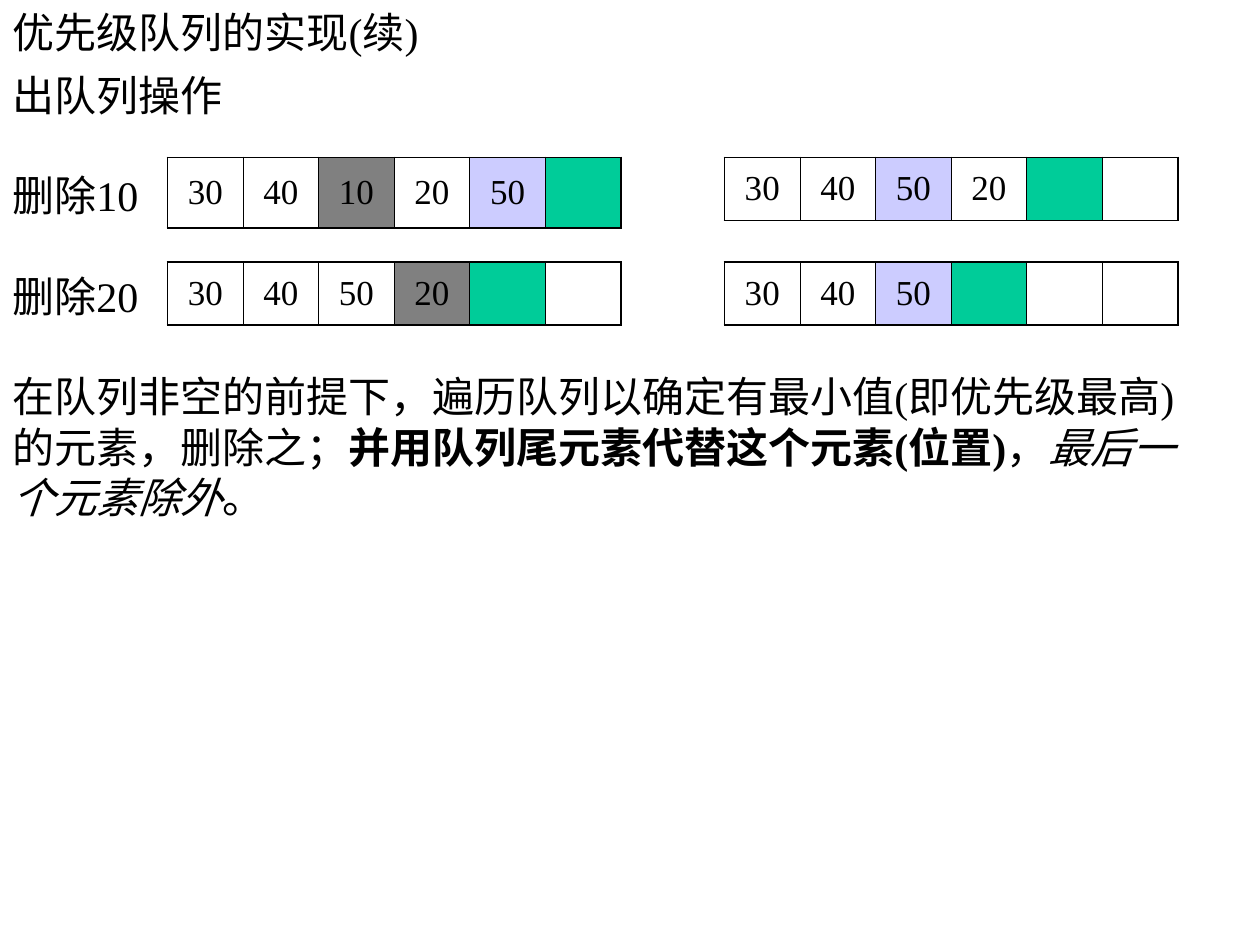
from lxml import etree
from pptx import Presentation
from pptx import util as u
from pptx.dml.color import RGBColor
from pptx.enum import text
from pptx.oxml.ns import qn

FONT = "Times New Roman"
BLACK, WHITE = "000000", "FFFFFF"
REMOVED, MOVED, FREED = "808080", "CCCCFF", "00CC99"
LINE_PITCH = u.Pt(28.75)
CELL_WIDTH = 0.6
THIN, THICK = 0.45, 1.08


def color(value):
    return RGBColor.from_string(value)


def style_font(font, size):
    font.name = FONT
    font.size = u.Pt(size)
    font.color.rgb = color(BLACK)


def add_title(slide, wording):
    title = slide.shapes.title
    title.left, title.top = u.Inches(0), u.Inches(0)
    title.width, title.height = u.Inches(8.5), u.Inches(0.5)
    frame = title.text_frame
    frame.text = wording
    frame.auto_size = text.MSO_AUTO_SIZE.NONE
    frame.vertical_anchor = text.MSO_ANCHOR.MIDDLE
    para = frame.paragraphs[0]
    para.alignment = text.PP_ALIGN.LEFT
    style_font(para.font, 24)


def add_body(slide, lines):
    """Each line is (starts a new block, [(wording, bold, italic), ...])."""
    box = slide.shapes.add_textbox(
        u.Inches(0), u.Inches(0.5), u.Inches(9.75), u.Inches(6.75))
    frame = box.text_frame
    frame.word_wrap = True
    for index, (new_block, spans) in enumerate(lines):
        para = frame.add_paragraph() if index else frame.paragraphs[0]
        para.line_spacing = LINE_PITCH
        para.space_before = LINE_PITCH if new_block else u.Pt(0)
        style_font(para.font, 24)
        for wording, bold, italic in spans:
            span = para.add_run()
            span.text = wording
            span.font.bold = bold
            span.font.italic = italic


def set_borders(cell, widths):
    properties = cell._tc.get_or_add_tcPr()
    for side, width in widths.items():
        line = etree.SubElement(properties, qn(f"a:{side}"), w=str(u.Pt(width)))
        fill = etree.SubElement(line, qn("a:solidFill"))
        etree.SubElement(fill, qn("a:srgbClr"), val=BLACK)


def add_queue(slide, left, top, height, values, fills):
    """Draw one queue state; fills maps a cell position to its colour."""
    count = len(values)
    table = slide.shapes.add_table(
        1, count, u.Inches(left), u.Inches(top),
        u.Inches(CELL_WIDTH * count), u.Inches(height)).table
    table.first_row = table.horz_banding = False
    for index, value in enumerate(values):
        cell = table.cell(0, index)
        set_borders(cell, {
            "lnL": THICK if index == 0 else THIN,
            "lnR": THICK if index == count - 1 else THIN,
            "lnT": THICK,
            "lnB": THICK,
        })
        cell.fill.solid()
        cell.fill.fore_color.rgb = color(fills.get(index, WHITE))
        cell.vertical_anchor = text.MSO_ANCHOR.MIDDLE
        cell.text = value
        para = cell.text_frame.paragraphs[0]
        para.alignment = text.PP_ALIGN.CENTER
        para.space_before = u.Pt(5)
        style_font(para.font, 20)


def main():
    deck = Presentation()
    deck.slide_width, deck.slide_height = u.Inches(10), u.Inches(7.5)
    slide = deck.slides.add_slide(deck.slide_layouts[5])

    # Heading and explanation
    add_title(slide, "优先级队列的实现(续)")
    add_body(slide, [
        (False, [("出队列操作", False, False)]),
        (True, [("删除10", False, False)]),
        (True, [("删除20", False, False)]),
        (True, [("在队列非空的前提下，遍历队列以确定有最小值(即优先级最高)", False, False)]),
        (False, [("的元素，删除之；", False, False),
                 ("并用队列尾元素代替这个元素(位置)", True, False),
                 ("，", False, False),
                 ("最后一", False, True)]),
        (False, [("个元素除外", False, True), ("。", False, False)]),
    ])

    # Queue before (left) and after (right) each removal
    before, after = 1.33, 5.75
    first, second = 1.25, 2.08
    add_queue(slide, before, first, 0.56, ["30", "40", "10", "20", "50", ""],
              {2: REMOVED, 4: MOVED, 5: FREED})
    add_queue(slide, after, first, 0.5, ["30", "40", "50", "20", "", ""],
              {2: MOVED, 4: FREED})
    add_queue(slide, before, second, 0.5, ["30", "40", "50", "20", "", ""],
              {3: REMOVED, 4: FREED})
    add_queue(slide, after, second, 0.5, ["30", "40", "50", "", "", ""],
              {2: MOVED, 3: FREED})

    deck.save("out.pptx")


if __name__ == "__main__":
    main()
